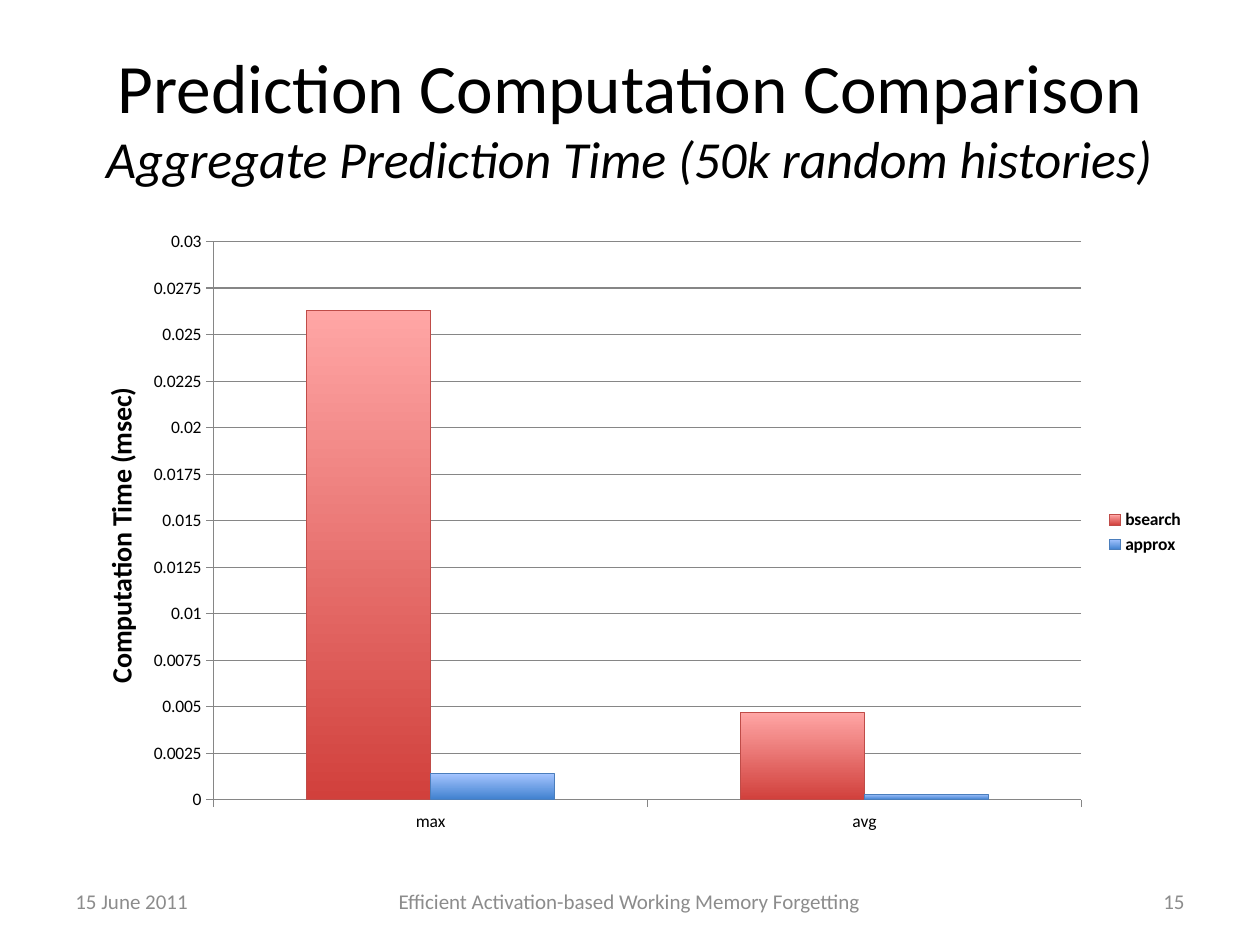
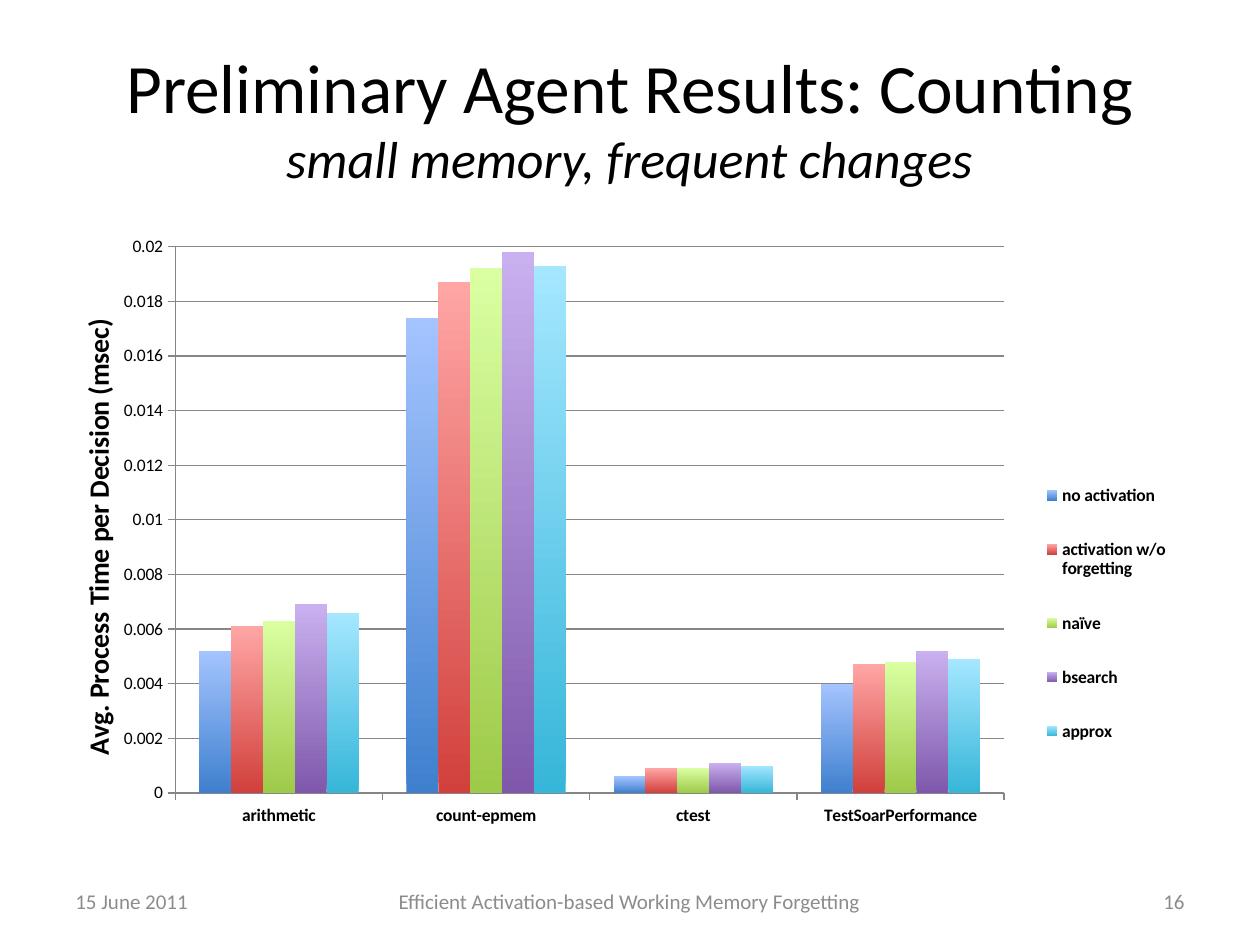
from dataclasses import dataclass
from typing import Optional

from lxml.etree import SubElement
from pptx import Presentation as Deck
from pptx.chart.data import CategoryChartData as Data
from pptx.dml.color import RGBColor as Color
from pptx.enum.chart import XL_CHART_TYPE as Kind, XL_LEGEND_POSITION as Side
from pptx.enum.chart import XL_TICK_MARK as Tick
from pptx.enum.text import MSO_ANCHOR as Anchor, MSO_AUTO_SIZE as Fit, PP_ALIGN as Align
from pptx.oxml.ns import qn
from pptx.util import Inches, Pt

FONT = "Calibri"
BLACK = Color(0x00, 0x00, 0x00)
GRAY = Color(0x8C, 0x8C, 0x8C)
RULE = Color(0x86, 0x86, 0x86)
RED_EDGE = Color(0xBF, 0x4C, 0x48)
BLUE_EDGE = Color(0x4B, 0x7E, 0xBC)
BLUE = (Color(0x3F, 0x80, 0xCE), Color(0xA4, 0xC4, 0xFF))
RED = (Color(0xD1, 0x40, 0x3C), Color(0xFF, 0xA6, 0xA5))
GREEN = (Color(0x9E, 0xCA, 0x49), Color(0xD9, 0xFF, 0xA2))
PURPLE = (Color(0x7F, 0x58, 0xAB), Color(0xC9, 0xB0, 0xEF))
AQUA = (Color(0x36, 0xB6, 0xD9), Color(0xA5, 0xE7, 0xFF))


@dataclass
class Bar:
    name: str
    vals: tuple
    fade: tuple
    edge: Optional[Color] = None


@dataclass
class Page:
    title: str
    note: str
    number: int
    label: str
    cats: tuple
    bars: tuple
    top: float
    step: float
    plot: tuple
    label_at: tuple
    key_at: Optional[tuple] = None
    bold_cats: bool = False


@dataclass
class Foot:
    left: float
    width: float
    align: Align


FEET = (
    Foot(0.5, 2.33, Align.LEFT),
    Foot(2.83, 4.33, Align.CENTER),
    Foot(7.17, 2.33, Align.RIGHT),
)

PAGES = (
    Page(
        "Prediction Computation Comparison",
        "Aggregate Prediction Time (50k random histories)",
        15,
        "Computation Time (msec)",
        ("max", "avg"),
        (
            Bar("bsearch", (0.0263, 0.0047), RED, RED_EDGE),
            Bar("approx", (0.0014, 0.0003), BLUE, BLUE_EDGE),
        ),
        top=0.03,
        step=0.0025,
        plot=(0.133, 0.034, 0.765, 0.895),
        label_at=(0.03, 0.26),
    ),
    Page(
        "Preliminary Agent Results: Counting",
        "small memory, frequent changes",
        16,
        "Avg. Process Time per Decision (msec)",
        ("arithmetic", "count-epmem", "ctest", "TestSoarPerformance"),
        (
            Bar("no activation", (0.0052, 0.0174, 0.0006, 0.004), BLUE),
            Bar("activation w/o forgetting", (0.0061, 0.0187, 0.0009, 0.0047), RED),
            Bar("naïve", (0.0063, 0.0192, 0.0009, 0.0048), GREEN),
            Bar("bsearch", (0.0069, 0.0198, 0.0011, 0.0052), PURPLE),
            Bar("approx", (0.0066, 0.0193, 0.001, 0.0049), AQUA),
        ),
        top=0.02,
        step=0.002,
        plot=(0.099, 0.042, 0.731, 0.876),
        label_at=(0.01, 0.15),
        key_at=(0.85, 0.37, 0.14, 0.52),
        bold_cats=True,
    ),
)


def write(par, text: str, *, size: float, color: Color = BLACK,
          bold: bool = False, slant: bool = False) -> None:
    run = par.add_run()
    run.text = text
    font = run.font
    font.name, font.size = FONT, Pt(size)
    font.bold, font.italic = bold, slant
    font.color.rgb = color


def place(part, index: int, spot: tuple, inner: bool = False) -> None:
    for old in part.findall(qn("c:layout")):
        part.remove(old)
    frame = SubElement(part, qn("c:layout"))
    part.insert(index, frame)
    box = SubElement(frame, qn("c:manualLayout"))
    items = [("layoutTarget", "inner")] if inner else []
    items += [("xMode", "edge"), ("yMode", "edge")]
    items += zip("xywh", spot)
    for tag, val in items:
        SubElement(box, qn(f"c:{tag}")).set("val", str(val))


def rule(line) -> None:
    line.color.rgb = RULE
    line.width = Pt(0.75)


def add_title(slide, page: Page) -> None:
    head = slide.shapes.title
    head.left, head.top = Inches(0.5), Inches(0.3)
    head.width, head.height = Inches(9), Inches(1.25)
    frame = head.text_frame
    frame.auto_size = Fit.NONE
    frame.vertical_anchor = Anchor.MIDDLE
    par = frame.paragraphs[0]
    par.alignment = Align.CENTER
    write(par, page.title, size=39.6)
    par.add_line_break()
    write(par, page.note, size=29.7, slant=True)


def add_feet(slide, number: int) -> None:
    texts = ("15 June 2011", "Efficient Activation-based Working Memory Forgetting", str(number))
    for foot, text in zip(FEET, texts):
        box = slide.shapes.add_textbox(
            Inches(foot.left), Inches(6.95), Inches(foot.width), Inches(0.4))
        frame = box.text_frame
        frame.word_wrap = True
        frame.vertical_anchor = Anchor.MIDDLE
        par = frame.paragraphs[0]
        par.alignment = foot.align
        write(par, text, size=12, color=GRAY)


def style_axes(chart, page: Page) -> None:
    for axis in (chart.category_axis, chart.value_axis):
        axis.major_tick_mark = Tick.OUTSIDE
        axis.minor_tick_mark = Tick.NONE
        axis.tick_labels.font.size = Pt(10)
        rule(axis.format.line)
    chart.category_axis.tick_labels.font.bold = page.bold_cats
    axis = chart.value_axis
    axis.minimum_scale, axis.maximum_scale = 0, page.top
    axis.major_unit = page.step
    axis.has_major_gridlines = True
    rule(axis.major_gridlines.format.line)
    label = axis.axis_title
    write(label.text_frame.paragraphs[0], page.label, size=16, bold=True)
    part = label._element
    turn = next(part.iter(qn("a:bodyPr")))
    turn.set("rot", "-5400000")
    turn.set("vert", "horz")
    place(part, 1, page.label_at)


def style_bars(chart, page: Page) -> None:
    plot = chart.plots[0]
    plot.gap_width, plot.overlap = 150, 0
    plot.vary_by_categories = False
    for item, bar in zip(plot.series, page.bars):
        fill = item.format.fill
        fill.gradient()
        fill.gradient_angle = 90
        for stop, color in zip(fill.gradient_stops, bar.fade):
            stop.color.rgb = color
        line = item.format.line
        if bar.edge:
            line.color.rgb = bar.edge
            line.width = Pt(0.75)
        else:
            line.fill.background()


def add_graph(slide, page: Page) -> None:
    data = Data()
    data.categories = page.cats
    for bar in page.bars:
        data.add_series(bar.name, bar.vals)
    chart = slide.shapes.add_chart(
        Kind.COLUMN_CLUSTERED, Inches(0.5), Inches(1.75),
        Inches(9), Inches(4.95), data).chart
    chart.has_title = False
    chart.font.name, chart.font.size = FONT, Pt(10)
    chart.font.color.rgb = BLACK
    style_axes(chart, page)
    style_bars(chart, page)
    chart.has_legend = True
    key = chart.legend
    key.position = Side.RIGHT
    key.include_in_layout = False
    key.font.size, key.font.bold = Pt(10), True
    if page.key_at:
        place(key._element, 1, page.key_at)
    place(next(chart.element.iter(qn("c:plotArea"))) if hasattr(chart, "element")
          else next(chart._chartSpace.iter(qn("c:plotArea"))), 0, page.plot, inner=True)


def main() -> None:
    deck = Deck()
    deck.slide_width, deck.slide_height = Inches(10), Inches(7.5)
    for page in PAGES:
        slide = deck.slides.add_slide(deck.slide_layouts[5])
        add_title(slide, page)
        add_graph(slide, page)
        add_feet(slide, page.number)
    deck.save("out.pptx")


if __name__ == "__main__":
    main()
